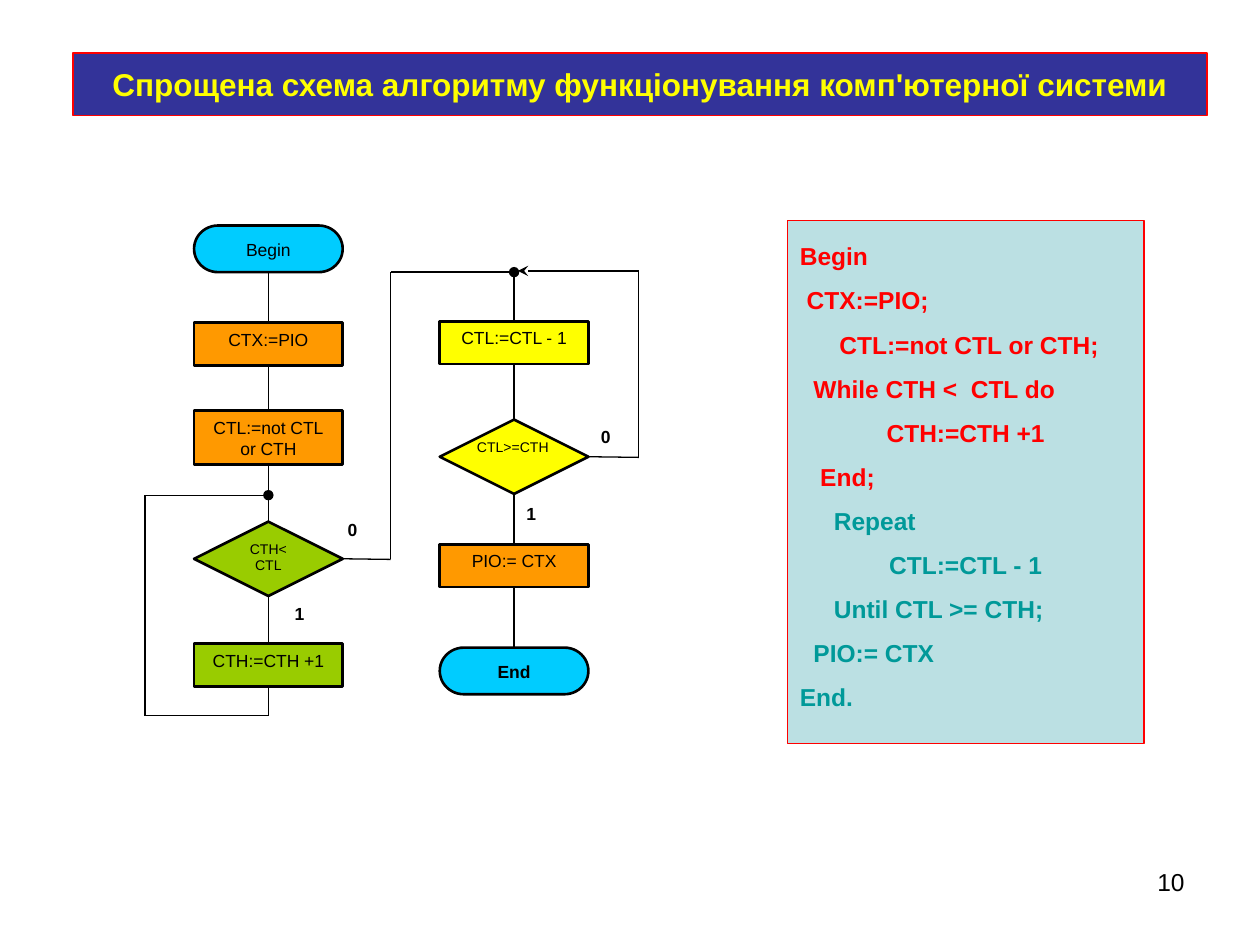
from dataclasses import dataclass
from typing import Optional, Union

from lxml.etree import SubElement
from pptx import Presentation
from pptx.dml.color import RGBColor
from pptx.enum.shapes import MSO_CONNECTOR, MSO_SHAPE
from pptx.enum.text import MSO_ANCHOR, PP_ALIGN
from pptx.oxml.ns import qn
from pptx.util import Inches, Pt

COLORS = {
    "black": "000000", "red": "FF0000", "yellow": "FFFF00", "navy": "333399",
    "pale": "BBE0E3", "teal": "009999", "orange": "FF9900",
    "green": "99CC00", "cyan": "00CCFF",
}
RECT = MSO_SHAPE.RECTANGLE
TERMINATOR = MSO_SHAPE.FLOWCHART_TERMINATOR
DECISION = MSO_SHAPE.FLOWCHART_DECISION
LEFT, CENTER, RIGHT = PP_ALIGN.LEFT, PP_ALIGN.CENTER, PP_ALIGN.RIGHT
SITE_TOP, SITE_BOTTOM, SITE_RIGHT = 0, 2, 3

# Flowchart columns share one width; lines run through their centres
BLOCK_W = 1.18
COL_1, COL_2 = 1.54, 3.49
MID_1, MID_2 = COL_1 + BLOCK_W / 2, COL_2 + BLOCK_W / 2


@dataclass
class Block:
    name: str
    kind: MSO_SHAPE
    x: float
    y: float
    h: float
    fill: str
    lines: list[str]
    size: float = 10
    bold: bool = False
    align: PP_ALIGN = CENTER


@dataclass
class Site:
    block: str
    index: int


Stop = Union[Site, tuple[float, float]]


@dataclass
class Route:
    stops: list[Stop]
    end: Optional[str] = None


@dataclass
class CodeLine:
    text: str
    color: str
    align: PP_ALIGN = LEFT


BLOCKS = [
    Block("begin", TERMINATOR, COL_1, 1.79, 0.37, "cyan", ["Begin"]),
    Block("load", RECT, COL_1, 2.56, 0.34, "orange", ["CTX:=PIO"]),
    Block("mask", RECT, COL_1, 3.26, 0.43, "orange", ["CTL:=not CTL", "or CTH"]),
    Block("while", DECISION, COL_1, 4.14, 0.59, "green", ["CTH<", "CTL"], size=8),
    Block("increment", RECT, COL_1, 5.11, 0.34, "green", ["CTH:=CTH +1"]),
    Block("decrement", RECT, COL_2, 2.55, 0.34, "yellow", ["CTL:=CTL - 1"]),
    Block("until", DECISION, COL_2, 3.33, 0.59, "yellow", ["CTL>=CTH"],
          size=8, align=LEFT),
    Block("store", RECT, COL_2, 4.32, 0.34, "orange", ["PIO:= CTX"]),
    Block("end", TERMINATOR, COL_2, 5.14, 0.37, "cyan", ["End"], bold=True),
]

CHAINS = [["begin", "load", "mask", "while", "increment"],
          ["decrement", "until", "store", "end"]]
ROUTES = [Route([Site(a, SITE_BOTTOM), Site(b, SITE_TOP)])
          for chain in CHAINS for a, b in zip(chain, chain[1:])]
ROUTES += [
    # While loop back, exit to the second column, repeat loop back
    Route([Site("increment", SITE_BOTTOM), (MID_1, 5.68), (1.15, 5.68),
           (1.15, 3.93), (MID_1, 3.93)], "oval"),
    Route([Site("while", SITE_RIGHT), (3.1, 4.44), (3.1, 2.16),
           (MID_2, 2.16)], "oval"),
    Route([(MID_2, 2.16), Site("decrement", SITE_TOP)]),
    Route([Site("until", SITE_RIGHT), (5.07, 3.63), (5.07, 2.15),
           (4.11, 2.15)], "stealth"),
]

BRANCH_LABELS = [("0", 4.67, 3.33), ("1", 4.08, 3.94),
                 ("1", 2.24, 4.74), ("0", 2.66, 4.07)]

CODE = [
    CodeLine("Begin", "red"),
    CodeLine(" CTX:=PIO;", "red"),
    CodeLine(" CTL:=not CTL or CTH;", "red", CENTER),
    CodeLine("  While CTH <  CTL do", "red"),
    CodeLine("CTH:=CTH +1", "red", CENTER),
    CodeLine("   End;", "red"),
    CodeLine("     Repeat", "teal"),
    CodeLine("CTL:=CTL - 1", "teal", CENTER),
    CodeLine("     Until CTL >= CTH;", "teal"),
    CodeLine("  PIO:= CTX", "teal"),
    CodeLine("End.", "teal"),
]


def rgb(name: str) -> RGBColor:
    return RGBColor.from_string(COLORS[name])


def add_box(s, kind, x: float, y: float, w: float, h: float,
            fill: str, line: str, weight: float):
    sp = s.shapes.add_shape(kind, Inches(x), Inches(y), Inches(w), Inches(h))
    sp.shadow.inherit = False
    sp.fill.solid()
    sp.fill.fore_color.rgb = rgb(fill)
    sp.line.color.rgb = rgb(line)
    sp.line.width = Pt(weight)
    return sp


def add_label(s, x: float, y: float, w: float, h: float):
    return s.shapes.add_textbox(Inches(x), Inches(y), Inches(w), Inches(h))


def write(sp, lines: list[CodeLine], size: float, bold: bool = False,
          spacing: float = 1.0, anchor=MSO_ANCHOR.TOP, inset: bool = True) -> None:
    tf = sp.text_frame
    frame = {"word_wrap": True, "vertical_anchor": anchor}
    if not inset:
        frame |= {f"margin_{side}": 0 for side in ("left", "right", "top", "bottom")}
    for key, value in frame.items():
        setattr(tf, key, value)
    for i, line in enumerate(lines):
        p = tf.add_paragraph() if i else tf.paragraphs[0]
        p.alignment, p.line_spacing = line.align, spacing
        r = p.add_run()
        r.text = line.text
        for key, value in {"name": "Arial", "size": Pt(size), "bold": bold}.items():
            setattr(r.font, key, value)
        r.font.color.rgb = rgb(line.color)


def add_block(s, b: Block):
    sp = add_box(s, b.kind, b.x, b.y, BLOCK_W, b.h, b.fill, "black", 1.5)
    write(sp, [CodeLine(t, "black", b.align) for t in b.lines], b.size, b.bold,
          inset=b.kind != DECISION)
    return sp


def add_route(s, route: Route, shapes: dict) -> None:
    for start, stop in zip(route.stops, route.stops[1:]):
        x1, y1 = (0, 0) if isinstance(start, Site) else start
        x2, y2 = (0, 0) if isinstance(stop, Site) else stop
        c = s.shapes.add_connector(MSO_CONNECTOR.STRAIGHT, Inches(x1), Inches(y1),
                                   Inches(x2), Inches(y2))
        if isinstance(start, Site):
            c.begin_connect(shapes[start.block], start.index)
        if isinstance(stop, Site):
            c.end_connect(shapes[stop.block], stop.index)
        c.line.color.rgb = rgb("black")
        c.line.width = Pt(0.75)
        sp_pr = c._element.spPr
        SubElement(sp_pr, qn("a:effectLst"))
    if route.end:
        SubElement(sp_pr.find(qn("a:ln")), qn("a:tailEnd"), type=route.end)


def main() -> None:
    prs = Presentation()
    prs.slide_width, prs.slide_height = Inches(10), Inches(7.5)
    s = prs.slides.add_slide(prs.slide_layouts[6])

    # Title bar
    title = add_box(s, RECT, 0.58, 0.42, 9, 0.5, "navy", "red", 0.75)
    text = "Спрощена схема алгоритму функціонування комп'ютерної системи"
    write(title, [CodeLine(text, "yellow", CENTER)], 18, True,
          anchor=MSO_ANCHOR.MIDDLE)

    # Program listing
    panel = add_box(s, RECT, 6.25, 1.75, 2.83, 4.15, "pale", "red", 0.75)
    write(panel, CODE, 14, True, spacing=1.5)

    # Flowchart
    shapes = {b.name: add_block(s, b) for b in BLOCKS}
    for route in ROUTES:
        add_route(s, route, shapes)
    for text, x, y in BRANCH_LABELS:
        write(add_label(s, x, y, 0.31, 0.28), [CodeLine(text, "black")], 10, True)

    # Slide number
    write(add_label(s, 7.17, 6.83, 2.33, 0.52), [CodeLine("10", "black", RIGHT)], 14)

    prs.save("out.pptx")


if __name__ == "__main__":
    main()
